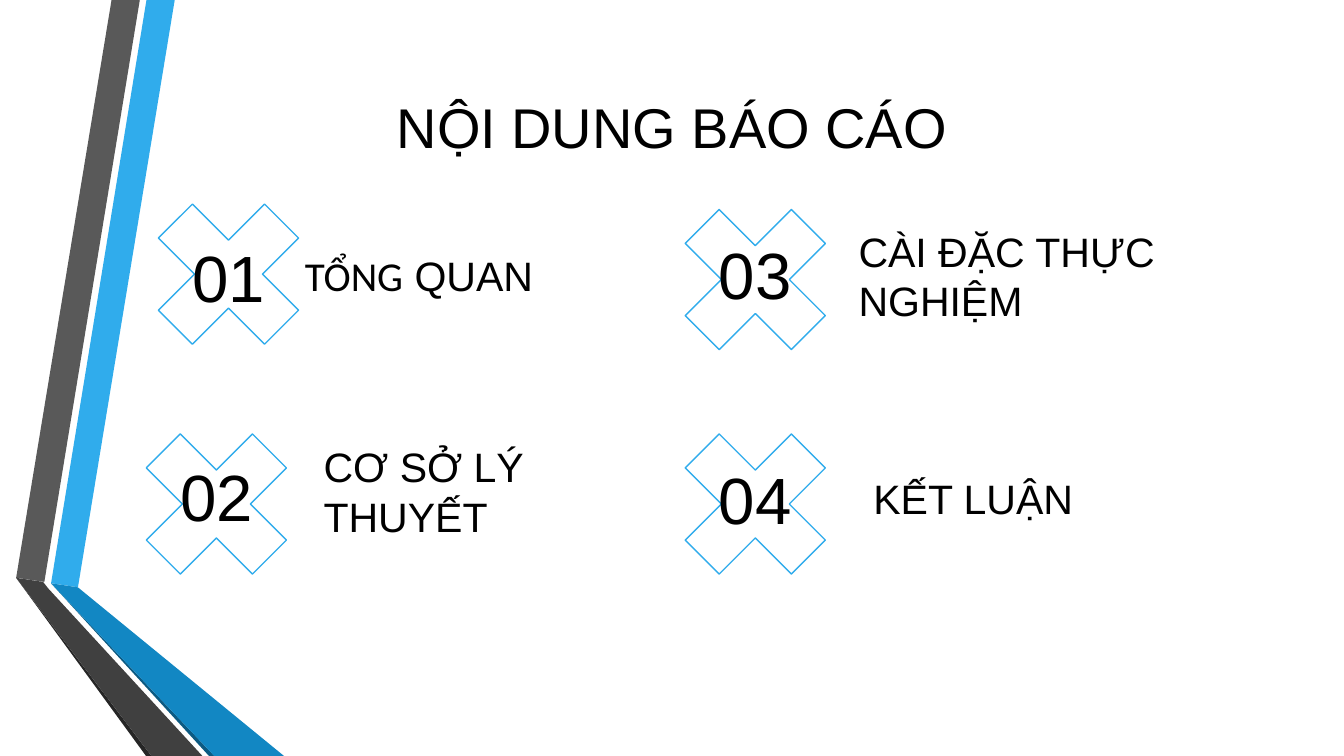
from typing import NamedTuple

from pptx import Presentation
from pptx import util as u
from pptx.dml.color import RGBColor
from pptx.enum import shapes, text


class Theme:
    ink = "000000"
    accent = "30ACEC"
    font = "Arial"
    title_size = 30
    number_size = 35
    label_size = 22
    inset = 0.1


class Band(NamedTuple):
    color: str
    points: list[tuple[float, float]]


class Run(NamedTuple):
    words: str
    font: str = Theme.font


class Box(NamedTuple):
    left: float
    top: float
    width: float
    height: float


class Topic(NamedTuple):
    number: str
    cross_left: float
    cross_top: float
    number_top: float
    label: list[Run]
    label_box: Box


CROSS_SIZE = 1.52
NUMBER_WIDTH, NUMBER_HEIGHT = 0.94, 0.49
LEFT_COLUMN, RIGHT_COLUMN = 0.85, 4.86
BOTTOM_ROW = 2.99

BANDS = [
    Band(Theme.accent, [(0.38, 4.34), (0.58, 4.37), (1.3, 0), (1.09, 0)]),
    Band("595959", [(1.04, 0), (0.83, 0), (0.12, 4.3), (0.33, 4.33)]),
    Band("262626", [(0.12, 4.3), (1.09, 5.63), (1.13, 5.63)]),
    Band("0C5A82", [(0.38, 4.34), (1.56, 5.63), (1.6, 5.63)]),
    Band("1287C3", [(0.38, 4.34), (1.6, 5.63), (2.12, 5.63), (0.58, 4.37)]),
    Band("404040", [(1.51, 5.63), (0.36, 4.38), (0.32, 4.33), (0.12, 4.3),
                    (1.13, 5.63)]),
]

TOPICS = [
    Topic("01", 0.94, 1.28, 1.81, [Run("TỔNG", "Calibri"), Run(" QUAN")],
          Box(2.17, 1.92, 2.82, 0.41)),
    Topic("02", LEFT_COLUMN, BOTTOM_ROW, 3.44, [Run("CƠ SỞ LÝ THUYẾT")],
          Box(2.31, 3.71, 2.82, 0.41)),
    Topic("03", RIGHT_COLUMN, 1.32, 1.79, [Run("CÀI ĐẶC THỰC NGHIỆM")],
          Box(6.29, 2.11, 3.04, 0.41)),
    Topic("04", RIGHT_COLUMN, BOTTOM_ROW, 3.46, [Run("KẾT LUẬN")],
          Box(6.4, 3.41, 2.82, 0.58)),
]


def rgb(color: str) -> RGBColor:
    return RGBColor.from_string(color)


def write(holder, runs: list[Run], *, size: float, color: str = Theme.ink,
          align=text.PP_ALIGN.LEFT, anchor=text.MSO_ANCHOR.MIDDLE) -> None:
    frame = holder.text_frame
    frame.word_wrap = True
    frame.auto_size = text.MSO_AUTO_SIZE.NONE
    frame.vertical_anchor = anchor
    frame.margin_left = frame.margin_right = u.Inches(Theme.inset)
    frame.margin_top = frame.margin_bottom = u.Inches(Theme.inset)
    paragraph = frame.paragraphs[0]
    paragraph.alignment = align
    for part in runs:
        run = paragraph.add_run()
        run.text = part.words
        run.font.name = part.font
        run.font.size = u.Pt(size)
        run.font.color.rgb = rgb(color)


def draw_band(slide, band: Band) -> None:
    start, *rest = [(u.Inches(x), u.Inches(y)) for x, y in band.points]
    builder = slide.shapes.build_freeform(*start)
    builder.add_line_segments(rest, close=True)
    ribbon = builder.convert_to_shape()
    ribbon.shadow.inherit = False
    ribbon.fill.solid()
    ribbon.fill.fore_color.rgb = rgb(band.color)
    ribbon.line.fill.background()


def draw_cross(slide, topic: Topic) -> None:
    cross = slide.shapes.add_shape(
        shapes.MSO_SHAPE.MATH_MULTIPLY, u.Inches(topic.cross_left),
        u.Inches(topic.cross_top), u.Inches(CROSS_SIZE), u.Inches(CROSS_SIZE))
    cross.adjustments[0] = 0.235
    cross.shadow.inherit = False
    cross.fill.background()
    cross.line.color.rgb = rgb(Theme.accent)
    cross.line.width = u.Pt(0.75)


def draw_topic(slide, topic: Topic) -> None:
    draw_cross(slide, topic)
    number_left = topic.cross_left + (CROSS_SIZE - NUMBER_WIDTH) / 2
    number_box = Box(number_left, topic.number_top, NUMBER_WIDTH, NUMBER_HEIGHT)
    number = slide.shapes.add_textbox(*map(u.Inches, number_box))
    write(number, [Run(topic.number)], size=Theme.number_size,
          align=text.PP_ALIGN.CENTER)
    label = slide.shapes.add_textbox(*map(u.Inches, topic.label_box))
    write(label, topic.label, size=Theme.label_size,
          anchor=text.MSO_ANCHOR.BOTTOM)


def main() -> None:
    deck = Presentation()
    deck.slide_width = u.Inches(10)
    deck.slide_height = deck.slide_width * 9 // 16
    slide = deck.slides.add_slide(deck.slide_layouts.get_by_name("Title Only"))

    for band in BANDS:
        draw_band(slide, band)
    for topic in TOPICS:
        draw_topic(slide, topic)

    title = slide.shapes.title
    title.left, title.top = u.Inches(0.78), u.Inches(0.59)
    title.width, title.height = u.Inches(8.44), u.Inches(0.63)
    write(title, [Run("NỘI DUNG BÁO CÁO")], size=Theme.title_size,
          align=text.PP_ALIGN.CENTER, anchor=text.MSO_ANCHOR.TOP)

    deck.save("out.pptx")


if __name__ == "__main__":
    main()
